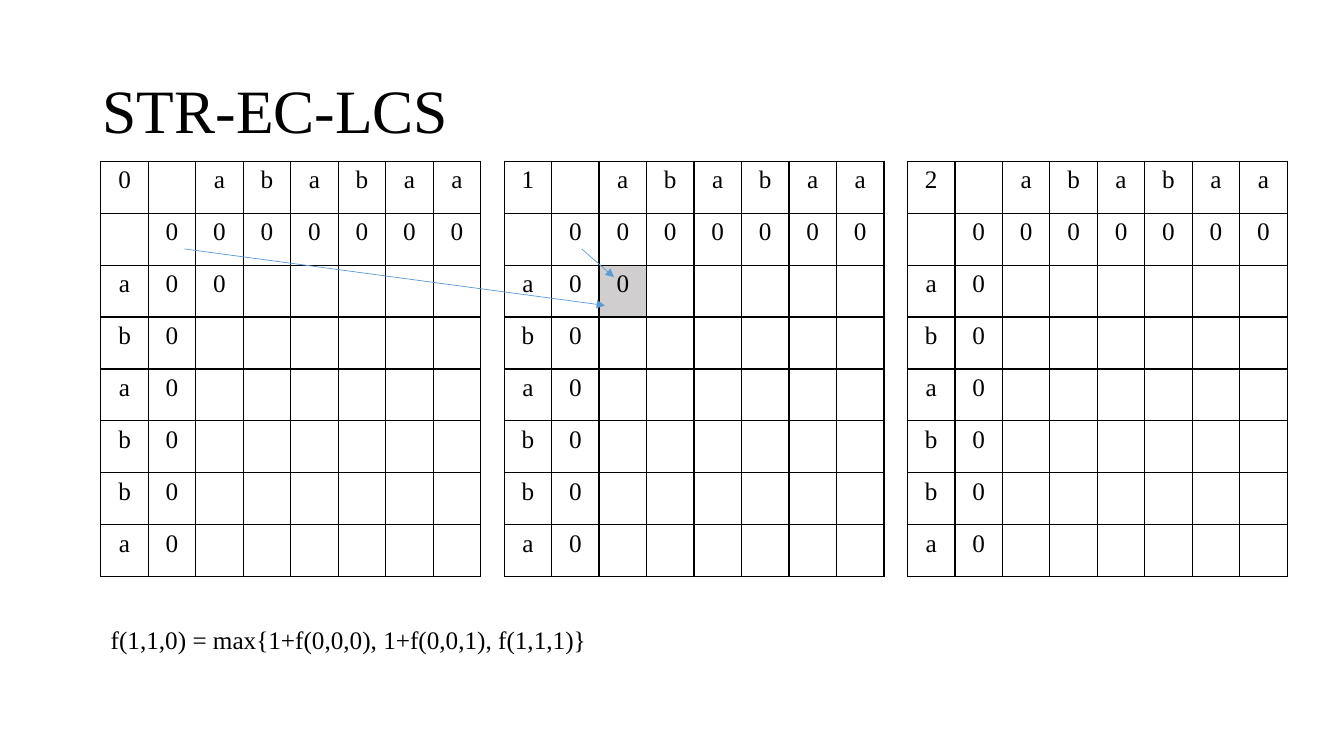
from dataclasses import dataclass

from lxml import etree
from pptx import Presentation
from pptx.dml.color import RGBColor
from pptx.enum.shapes import MSO_CONNECTOR as Connector
from pptx.enum.text import MSO_ANCHOR as Anchor, PP_ALIGN as Align
from pptx.oxml.ns import qn
from pptx.slide import Slide
from pptx.util import Inches, Pt


def color(value):
    return RGBColor.from_string(value)


@dataclass
class LessonSlide:
    page: Slide
    font: str = "Times New Roman"
    ink: str = "000000"
    arrow_color: str = "5B9BD5"
    shade: str = "D0CECE"
    body_size: int = 18

    def style(self, para, size):
        para.font.name = self.font
        para.font.size = Pt(size)
        para.font.color.rgb = color(self.ink)

    def text(self, words, left, top, width, height, size, anchor=Anchor.TOP, spacing=1.0):
        box = self.page.shapes.add_textbox(
            Inches(left), Inches(top), Inches(width), Inches(height))
        frame = box.text_frame
        frame.word_wrap = True
        frame.vertical_anchor = anchor
        para = frame.paragraphs[0]
        para.text = words
        para.line_spacing = spacing
        self.style(para, size)

    def border(self, cell):
        properties = cell._tc.get_or_add_tcPr()
        for side in ("a:lnL", "a:lnR", "a:lnT", "a:lnB"):
            line = etree.SubElement(properties, qn(side), w=str(Pt(1)))
            fill = etree.SubElement(line, qn("a:solidFill"))
            etree.SubElement(fill, qn("a:srgbClr"), val=self.ink)

    def table(self, rows, left, top, width, height, shaded=None):
        frame = self.page.shapes.add_table(
            len(rows), len(rows[0]),
            Inches(left), Inches(top), Inches(width), Inches(height))
        table = frame.table
        table.first_row = False
        table.horz_banding = False
        for row, values in enumerate(rows):
            for column, value in enumerate(values):
                cell = table.cell(row, column)
                self.border(cell)
                if (row, column) == shaded:
                    cell.fill.solid()
                    cell.fill.fore_color.rgb = color(self.shade)
                else:
                    cell.fill.background()
                para = cell.text_frame.paragraphs[0]
                para.text = value
                para.alignment = Align.CENTER
                self.style(para, self.body_size)

    def arrow(self, start, end):
        connector = self.page.shapes.add_connector(
            Connector.STRAIGHT, *map(Inches, start + end))
        connector.line.color.rgb = color(self.arrow_color)
        connector.line.width = Pt(0.5)
        etree.SubElement(connector.line._get_or_add_ln(), qn("a:tailEnd"), type="triangle")
        etree.SubElement(connector._element.spPr, qn("a:effectLst"))


def layer_rows(layer, known):
    across, down = "ababaa", "ababba"
    rows = [[str(layer), "", *across], ["", "0", *"0" * len(across)]]
    rows += [[letter, "0"] + [""] * len(across) for letter in down]
    for row, column in known:
        rows[row][column] = "0"
    return rows


def main():
    deck = Presentation()
    deck.slide_width, deck.slide_height = Inches(13.33), Inches(7.5)
    lesson = LessonSlide(deck.slides.add_slide(deck.slide_layouts[6]))

    lesson.text("STR-EC-LCS", 0.92, 0.4, 11.5, 1.45, 44, Anchor.MIDDLE, 0.9)

    first = (2, 2)
    for layer, known in enumerate([[first], [first], []]):
        lesson.table(layer_rows(layer, known), 1 + 4 * layer, 1.6, 3.77, 4.12,
                     shaded=first if layer == 1 else None)

    lesson.text("f(1,1,0) = max{1+f(0,0,0), 1+f(0,0,1), f(1,1,1)}",
                1, 6.14, 5.03, 0.4, lesson.body_size)

    lesson.arrow((5.77, 2.47), (6.09, 2.75))
    lesson.arrow((1.83, 2.47), (6, 3.03))

    deck.save("out.pptx")


if __name__ == "__main__":
    main()
